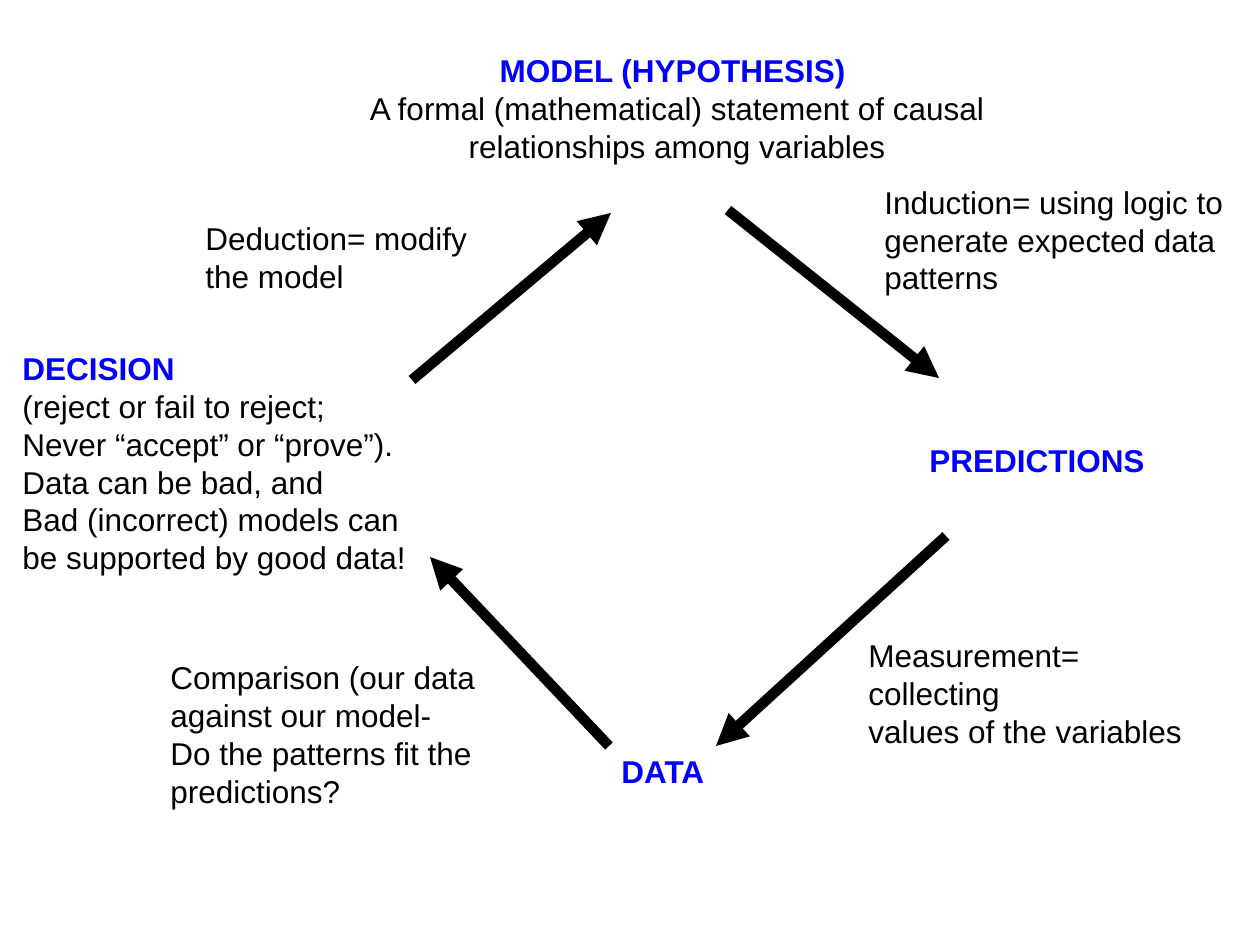
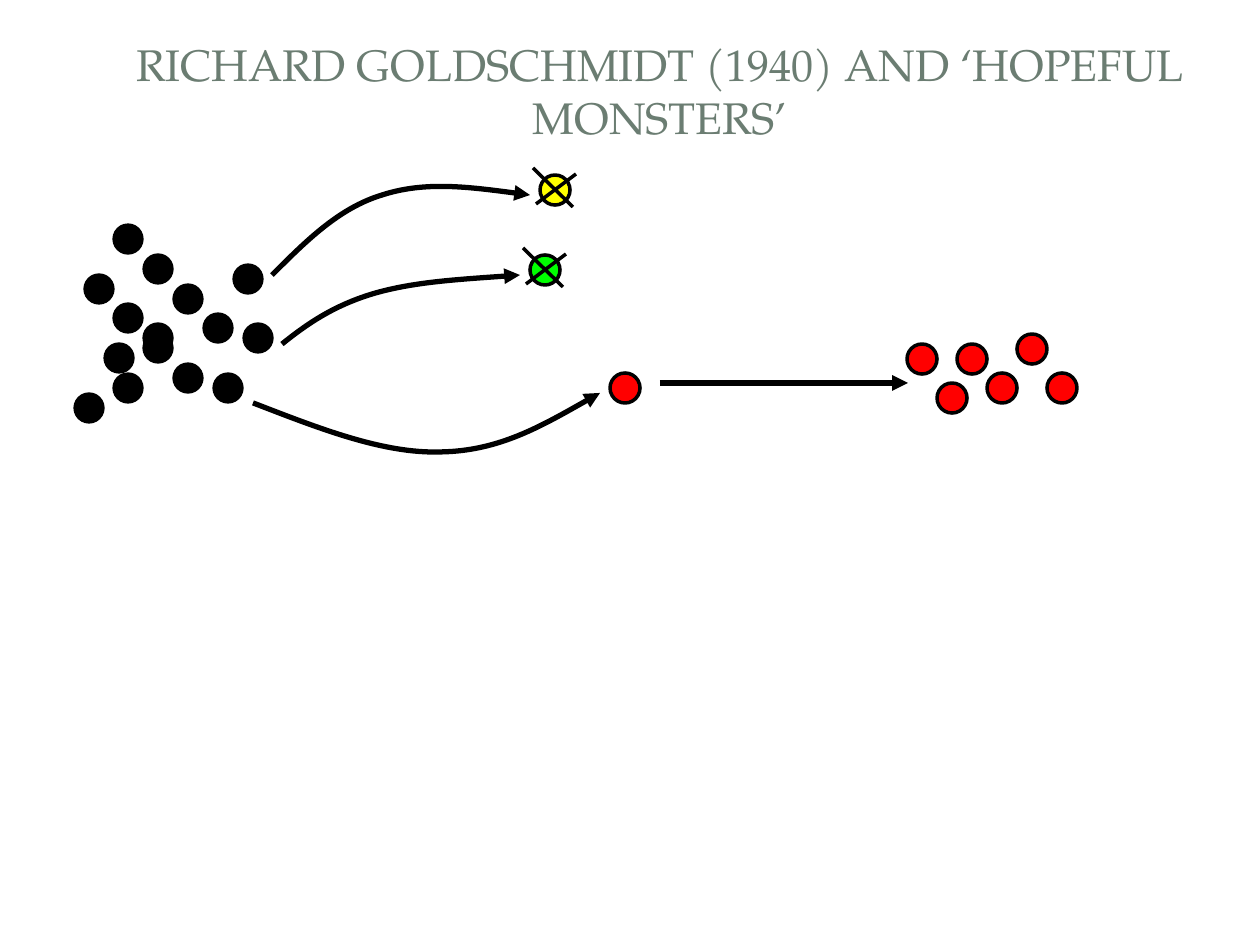
from pptx import Presentation
from pptx.dml.color import RGBColor
from pptx.enum.shapes import MSO_CONNECTOR as CONNECTOR, MSO_SHAPE as SHAPE
from pptx.enum.text import MSO_ANCHOR as ANCHOR, PP_ALIGN as ALIGN
from pptx.oxml.ns import qn
from pptx.util import Emu, Pt
from lxml.etree import SubElement

BODY_FONT = "Arial"
TITLE_FONT = "TeX Gyre Pagella"
BLACK, BLUE, SAGE = "000000", "0000FF", "6B7D72"
YELLOW, GREEN, RED = "FFFF00", "00FF00", "FF0000"
DOT = 30

ANCESTORS = [(39, 0), (69, 30), (99, 60), (159, 40), (169, 99),
             (69, 99), (30, 119), (10, 50), (39, 79), (69, 109),
             (99, 139), (129, 89), (139, 149), (39, 149), (0, 169)]
DESCENDANTS = [(0, 10), (30, 49), (50, 10), (80, 39), (110, 0), (140, 39)]
MUTATION_CURVES = [
    [(19, 107), (53, 73), (86, 40), (129, 27),
     (172, 13), (225, 20), (277, 27)],
    [(29, 176), (54, 156), (80, 138), (119, 126),
     (159, 114), (213, 111), (267, 107)],
    [(0, 235), (65, 260), (130, 286), (188, 284),
     (246, 283), (296, 254), (347, 225)],
]


def px(length):
    return Emu(round(length * 914400 / 126))


def color(value):
    return RGBColor.from_string(value)


def set_line(shape, width, arrow=False):
    shape.line.color.rgb = color(BLACK)
    shape.line.width = Pt(width)
    if arrow:
        SubElement(shape.line._get_or_add_ln(), qn("a:tailEnd"), type="triangle")


def add_line(slide, start, end, width, arrow=False):
    line = slide.shapes.add_connector(
        CONNECTOR.STRAIGHT, *(px(value) for value in (*start, *end)))
    set_line(line, width, arrow)
    SubElement(line._element.spPr, qn("a:effectLst"))


def add_curve(slide, points):
    builder = slide.shapes.build_freeform(*points[0], scale=px(1))
    builder.add_line_segments(points[1:], close=False)
    curve = builder.convert_to_shape()
    segments = list(curve._element.iter(qn("a:lnTo")))
    for first in range(0, len(segments), 3):
        bezier = SubElement(segments[first].getparent(), qn("a:cubicBezTo"))
        for segment in segments[first:first + 3]:
            bezier.append(segment[0])
            segment.getparent().remove(segment)
    curve.shadow.inherit = False
    curve.fill.background()
    set_line(curve, 3, arrow=True)


def add_text(slide, box, text, size=18, font=BODY_FONT, fill=BLACK,
             heading=False, align=ALIGN.LEFT, wrap=True, anchor=ANCHOR.TOP):
    text_box = slide.shapes.add_textbox(*(px(value) for value in box))
    frame = text_box.text_frame
    frame.text = text
    frame.word_wrap = wrap
    frame.vertical_anchor = anchor
    for index, paragraph in enumerate(frame.paragraphs):
        is_heading = heading and index == 0
        paragraph.alignment = align
        for run in paragraph.runs:
            run.font.name = font
            run.font.size = Pt(size)
            run.font.bold = is_heading
            run.font.color.rgb = color(BLUE if is_heading else fill)
    return frame


def add_dots(slide, left, top, places, fill, width):
    for x, y in places:
        dot = slide.shapes.add_shape(
            SHAPE.OVAL, px(left + x), px(top + y), px(DOT), px(DOT))
        dot.shadow.inherit = False
        dot.fill.solid()
        dot.fill.fore_color.rgb = color(fill)
        set_line(dot, width)


def add_failed_mutant(slide, left, top, fill):
    add_dots(slide, left, top, [(0, 0)], fill, 2)
    for start, end in [((-7, -7), (33, 32)), ((-4, 29), (36, -1))]:
        add_line(slide, (left + start[0], top + start[1]),
                 (left + end[0], top + end[1]), 2)


def add_stages(slide, left, top):
    add_text(slide, (left + 310, top, 714, 127),
             "MODEL (HYPOTHESIS) \nA formal (mathematical) statement of causal "
             "relationships among variables", heading=True, align=ALIGN.CENTER)
    add_text(slide, (left + 907, top + 390, 243, 50), "PREDICTIONS",
             heading=True, wrap=False)
    add_text(slide, (left + 599, top + 701, 108, 50), "DATA",
             heading=True, wrap=False)
    add_text(slide, (left, top + 298, 427, 242),
             "DECISION\n(reject or fail to reject;\n"
             "Never “accept” or “prove”).\nData can be bad, and\n"
             "Bad (incorrect) models can be supported by good data!",
             heading=True)


def add_steps(slide, left, top):
    add_text(slide, (left + 714, top, 378, 127),
             "Induction= using logic to generate expected data patterns",
             anchor=ANCHOR.MIDDLE)
    add_text(slide, (left + 698, top + 454, 356, 127),
             "Measurement= collecting\nvalues of the variables")
    add_text(slide, (left, top + 476, 341, 165),
             "Comparison (our data against our model-\n"
             "Do the patterns fit the predictions?")
    add_text(slide, (left + 35, top + 37, 305, 127),
             "Deduction= modify the model")


def add_cycle_arrows(slide, left, top):
    for start, end in [((316, 0), (527, 168)), ((534, 326), (304, 536)),
                       ((197, 536), (18, 347)), ((0, 170), (199, 3))]:
        add_line(slide, (left + start[0], top + start[1]),
                 (left + end[0], top + end[1]), 6, arrow=True)


def add_title(slide, left, top):
    frame = add_text(slide, (left, top, 1200, 120),
                     "RICHARD GOLDSCHMIDT (1940) AND ‘HOPEFUL MONSTERS’",
                     size=25.2, font=TITLE_FONT, fill=SAGE, align=ALIGN.CENTER)
    frame.margin_top = frame.margin_bottom = 0


def add_mutations(slide, left, top):
    for points in MUTATION_CURVES:
        add_curve(slide, [(left + x, top + y) for x, y in points])
    add_failed_mutant(slide, left + 287, top + 7, YELLOW)
    add_failed_mutant(slide, left + 277, top + 87, GREEN)
    add_dots(slide, left + 357, top + 205, [(0, 0)], RED, 2)
    add_line(slide, (left + 407, top + 215), (left + 655, top + 215), 3,
             arrow=True)


def build_cycle_slide(slide):
    add_stages(slide, 10, 45)
    add_steps(slide, 158, 176)
    add_cycle_arrows(slide, 412, 210)


def build_monsters_slide(slide):
    add_title(slide, 60, 37)
    add_dots(slide, 74, 224, ANCESTORS, BLACK, 0.75)
    add_mutations(slide, 253, 168)
    add_dots(slide, 907, 334, DESCENDANTS, RED, 2)


def main():
    presentation = Presentation()
    presentation.slide_width = px(1260)
    presentation.slide_height = px(945)
    for build in (build_cycle_slide, build_monsters_slide):
        build(presentation.slides.add_slide(presentation.slide_layouts[6]))
    presentation.save("out.pptx")


if __name__ == "__main__":
    main()
